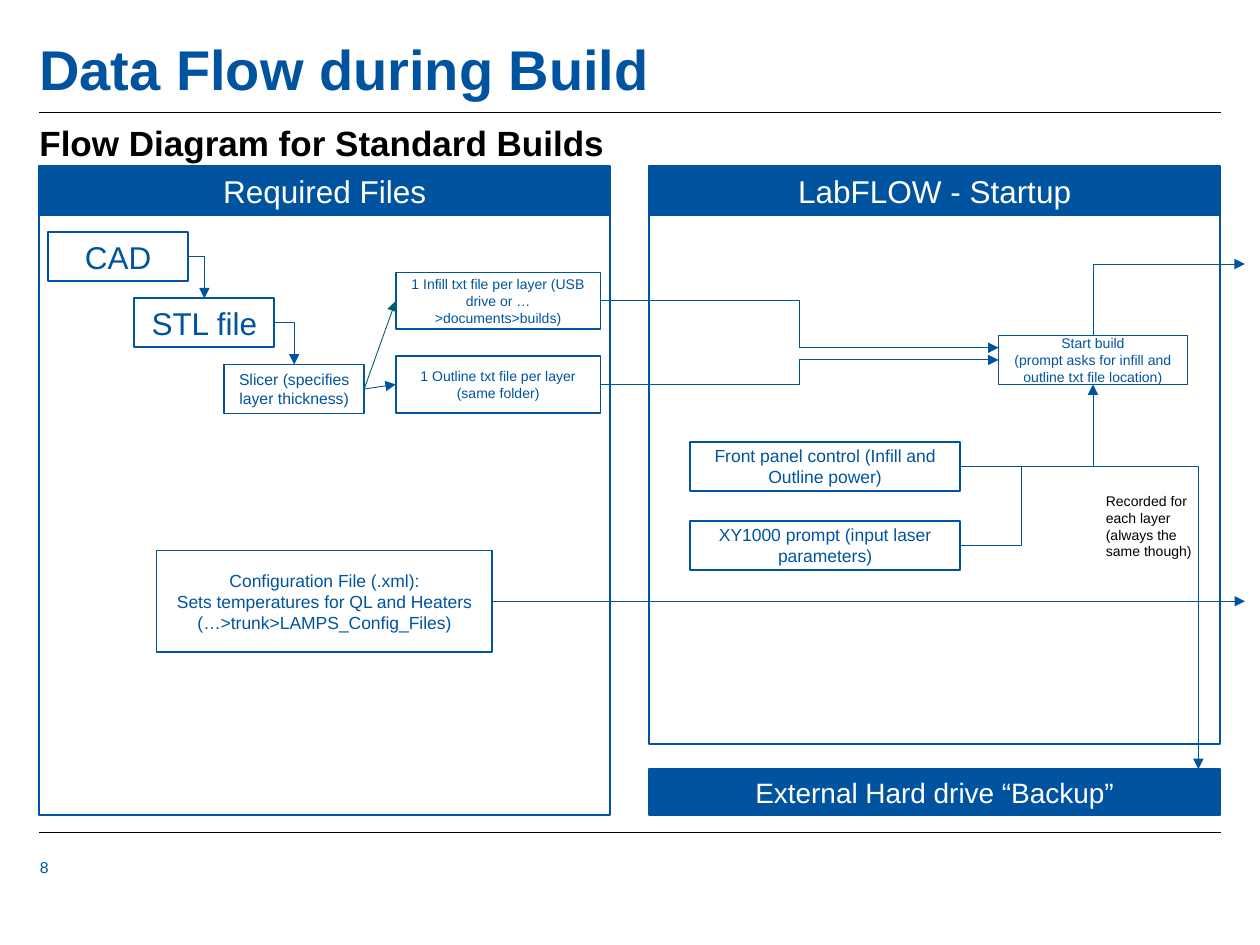
from lxml import etree
from pptx import Presentation
from pptx.dml.color import RGBColor
from pptx.enum.shapes import MSO_CONNECTOR as CONN, MSO_SHAPE as SHAPE
from pptx.enum.text import MSO_ANCHOR as ANCHOR, PP_ALIGN as ALIGN
from pptx.oxml.ns import qn
from pptx.util import Pt

BLUE, TEAL, BLACK, WHITE = "00549F", "006165", "000000", "FFFFFF"
rgb = RGBColor.from_string

prs = Presentation()
prs.slide_width, prs.slide_height = Pt(720), Pt(540)
s = prs.slides.add_slide(prs.slide_layouts[5])


def write(sp, text, size, color, bold=False, align=ALIGN.LEFT, anchor=ANCHOR.TOP, inset=True):
    tf = sp.text_frame
    tf.word_wrap = True
    tf.vertical_anchor = anchor
    if not inset:
        tf.margin_left = tf.margin_top = tf.margin_right = tf.margin_bottom = 0
    tf.text = text
    for p in tf.paragraphs:
        p.alignment = align
        p.font.name, p.font.size, p.font.bold = "Arial", Pt(size), bold
        p.font.color.rgb = rgb(color)


def connect(kind, x1, y1, x2, y2, color=BLUE, arrow="tailEnd"):
    """Add a thin connector; arrow is the end that gets a triangle, or None."""
    c = s.shapes.add_connector(CONN.STRAIGHT if kind == "line" else CONN.ELBOW,
                               Pt(x1), Pt(y1), Pt(x2), Pt(y2))
    c.line.width = Pt(0.5)
    c.line.color.rgb = rgb(color)
    props = c._element.spPr
    props.find(qn("a:prstGeom")).set("prst", kind)
    if arrow:
        etree.SubElement(props.find(qn("a:ln")), qn("a:" + arrow), type="triangle")
    etree.SubElement(props, qn("a:effectLst"))
    return c


# Title, subtitle, rules and page number
title = s.shapes.title
title.left, title.top, title.width, title.height = Pt(22.5), Pt(16), Pt(675), Pt(42.5)
write(title, "Data Flow during Build", 32, BLUE, bold=True, anchor=ANCHOR.BOTTOM, inset=False)
title.text_frame.paragraphs[0].line_spacing = 0.9

subtitle = s.shapes.add_textbox(Pt(22.5), Pt(69.3), Pt(675), Pt(20))
write(subtitle, "Flow Diagram for Standard Builds", 20, BLACK, bold=True, inset=False)
number = s.shapes.add_textbox(Pt(22.8), Pt(490.3), Pt(57.6), Pt(31))
write(number, "8", 9, BLUE, inset=False)
for y in (64.2, 475.7):
    connect("line", 22.5, y, 697.5, y, BLACK, arrow=None)

# Panels, headers and boxes: left, top, width, height, fill, text size, text
LEFT, RIGHT, PANEL_W, BOX_H = 22.5, 371, 326.2, 28
boxes = {
    "left panel": (LEFT, 123, PANEL_W, 342.8, None, 0, ""),
    "right panel": (RIGHT, 123, PANEL_W, 302.4, None, 0, ""),
    "files": (LEFT, 95, PANEL_W, BOX_H, BLUE, 18, "Required Files"),
    "startup": (RIGHT, 95, PANEL_W, BOX_H, BLUE, 18, "LabFLOW - Startup"),
    "backup": (RIGHT, 439.5, PANEL_W, 26.3, BLUE, 16, "External Hard drive “Backup”"),
    "cad": (27.5, 132.6, 80, BOX_H, None, 18, "CAD"),
    "stl": (76.8, 170.5, 80, BOX_H, None, 18, "STL file"),
    "slicer": (128.1, 208.3, 80, BOX_H, None, 9, "Slicer (specifies layer thickness)"),
    "infill": (226.2, 155.7, 117, 32.4, None, 8,
               "1 Infill txt file per layer (USB drive or …>documents>builds)"),
    "outline": (226.2, 203.5, 117, 32.4, None, 8, "1 Outline txt file per layer (same folder)"),
    "config": (89.5, 314.5, 191.8, 58.2, None, 10,
               "Configuration File (.xml):\nSets temperatures for QL and Heaters\n"
               "(…>trunk>LAMPS_Config_Files)"),
    "front panel": (394.2, 252.5, 154.4, BOX_H, None, 10,
                    "Front panel control (Infill and Outline power)"),
    "prompt": (394.2, 297.7, 154.4, BOX_H, None, 10, "XY1000 prompt (input laser parameters)"),
    "start": (570.6, 191.7, 108, BOX_H, WHITE, 8,
              "Start build\n(prompt asks for infill and outline txt file location)"),
}
shapes = {}
for name, (x, y, w, h, fill, size, text) in boxes.items():
    sp = shapes[name] = s.shapes.add_shape(SHAPE.RECTANGLE, Pt(x), Pt(y), Pt(w), Pt(h))
    sp.shadow.inherit = False
    if fill:
        sp.fill.solid()
        sp.fill.fore_color.rgb = rgb(fill)
    else:
        sp.fill.background()
    sp.line.color.rgb = rgb(BLUE)
    sp.line.width = Pt(1)
    if text:
        write(sp, text, size, WHITE if fill == BLUE else BLUE,
              align=ALIGN.CENTER, anchor=ANCHOR.MIDDLE)

note = s.shapes.add_textbox(Pt(624.8), Pt(278), Pt(72.7), Pt(46.4))
write(note, "Recorded for each layer (always the same though)", 8, BLACK)

# Straight arrows
for target, color in (("outline", BLUE), ("infill", TEAL)):
    c = connect("line", 208.1, 222.3, 226.2, 220, color)
    c.begin_connect(shapes["slicer"], 3)
    c.end_connect(shapes[target], 1)
c = connect("line", 281.3, 343.6, 711.4, 343.6)
c.begin_connect(shapes["config"], 3)

# Elbow arrows with one bend: horizontal first, then vertical
START_X, CONTROL_Y = 624.6, 266.5
for x1, y1, x2, y2, arrow in (
    (107.5, 146.6, 116.8, 170.5, "tailEnd"),
    (156.8, 184.5, 168.1, 208.3, "tailEnd"),
    (548.6, CONTROL_Y, START_X, 219.7, "tailEnd"),
    (548.6, 311.7, 583.7, CONTROL_Y, None),
    (START_X, CONTROL_Y, 684.8, 439.5, "tailEnd"),
    (711.4, 150.9, START_X, 191.7, "headEnd"),
):
    connect("bentConnector2", x1, y1, x2, y2, arrow=arrow)

# Elbow arrows with two bends, from the layer files to the start box
for y1, y2 in ((171.9, 198.7), (219.7, 205.7)):
    connect("bentConnector3", 343.2, y1, 570.6, y2)

prs.save("out.pptx")
